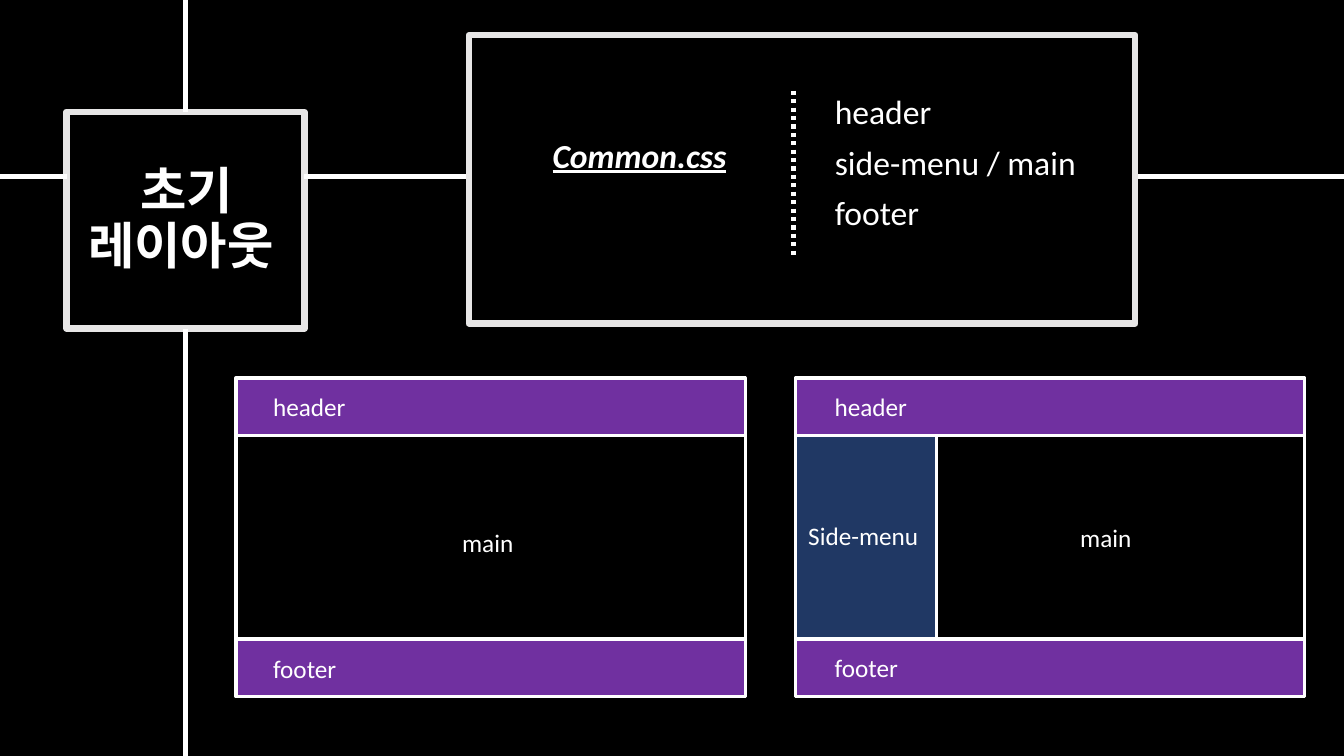
from dataclasses import dataclass

from pptx import Presentation
from pptx import util as u
from pptx.dml.color import RGBColor
from pptx.enum import dml, shapes, text
from pptx.oxml.ns import qn
from lxml import etree


@dataclass(frozen=True)
class Theme:
    font: str = "Calibri"
    black: str = "000000"
    white: str = "FFFFFF"
    frame: str = "E7E6E6"
    bar: str = "7030A0"
    side: str = "203864"
    title_size: int = 36
    body_size: int = 24
    label_size: int = 18
    frame_width: float = 4.5
    rule_width: float = 3
    block_width: float = 2.25


class LayoutSlide:
    def __init__(self, presentation, theme):
        self.theme = theme
        self.slide = presentation.slides.add_slide(presentation.slide_layouts[3])
        fill = self.slide.background.fill
        fill.solid()
        fill.fore_color.rgb = RGBColor.from_string(theme.black)

    def style(self, paragraph, size, align=text.PP_ALIGN.LEFT, emphasis=None):
        paragraph.alignment = align
        font = paragraph.font
        font.name = self.theme.font
        font.size = u.Pt(size)
        font.color.rgb = RGBColor.from_string(self.theme.white)
        font.bold = font.italic = font.underline = emphasis

    def place(self, shape, left, top, width, height):
        shape.left, shape.top = u.Inches(left), u.Inches(top)
        shape.width, shape.height = u.Inches(width), u.Inches(height)

    def title(self, words, *box):
        shape = self.slide.shapes.title
        self.place(shape, *box)
        frame = shape.text_frame
        frame.auto_size = text.MSO_AUTO_SIZE.NONE
        frame.vertical_anchor = text.MSO_ANCHOR.MIDDLE
        paragraph = frame.paragraphs[0]
        paragraph.text = words
        paragraph.line_spacing = 0.9
        self.style(paragraph, self.theme.title_size, text.PP_ALIGN.CENTER)
        paragraph.font.bold = True

    def body(self, index, lines, *box, emphasis=None):
        shape = self.slide.placeholders[index]
        self.place(shape, *box)
        frame = shape.text_frame
        frame.text = "\n".join(lines)
        frame.auto_size = text.MSO_AUTO_SIZE.NONE
        frame.vertical_anchor = text.MSO_ANCHOR.TOP
        for number, paragraph in enumerate(frame.paragraphs):
            properties = paragraph._p.get_or_add_pPr()
            properties.set("marL", "0")
            properties.set("indent", "0")
            etree.SubElement(properties, qn("a:buNone"))
            paragraph.line_spacing = 0.9
            paragraph.space_before = u.Pt(10 if number else 0)
            self.style(paragraph, self.theme.body_size, emphasis=emphasis)

    def rectangle(self, left, top, width, height, line, line_width, fill=None):
        shape = self.slide.shapes.add_shape(
            shapes.MSO_SHAPE.RECTANGLE, u.Inches(left), u.Inches(top),
            u.Inches(width), u.Inches(height))
        shape.shadow.inherit = False
        if fill:
            shape.fill.solid()
            shape.fill.fore_color.rgb = RGBColor.from_string(fill)
        else:
            shape.fill.background()
        shape.line.color.rgb = RGBColor.from_string(line)
        shape.line.width = u.Pt(line_width)

    def frame(self, *box):
        self.rectangle(*box, self.theme.frame, self.theme.frame_width)

    def block(self, *box, fill):
        self.rectangle(*box, self.theme.white, self.theme.block_width, fill)

    def rule(self, x1, y1, x2, y2, dash=None):
        line = self.slide.shapes.add_connector(
            shapes.MSO_CONNECTOR.STRAIGHT, u.Inches(x1), u.Inches(y1),
            u.Inches(x2), u.Inches(y2))
        line.line.color.rgb = RGBColor.from_string(self.theme.white)
        line.line.width = u.Pt(self.theme.rule_width)
        if dash:
            line.line.dash_style = dash
        etree.SubElement(line._element.spPr, qn("a:effectLst"))

    def label(self, words, left, top, width, align=text.PP_ALIGN.CENTER):
        shape = self.slide.shapes.add_textbox(
            u.Inches(left), u.Inches(top), u.Inches(width), u.Inches(0.4))
        frame = shape.text_frame
        frame.word_wrap = True
        frame.auto_size = text.MSO_AUTO_SIZE.SHAPE_TO_FIT_TEXT
        frame.text = words
        self.style(frame.paragraphs[0], self.theme.label_size, align)

    def wireframe(self, left, label_left, footer_top):
        width, bar_height = 5.05, 0.57
        self.block(left, 4.11, width, 2.8, fill=self.theme.black)
        for words, bar_top, label_top in (("header", 3.75, 3.83),
                                          ("footer", 6.34, footer_top)):
            self.block(left, bar_top, width, bar_height, fill=self.theme.bar)
            self.label(words, label_left, label_top, 3.02, text.PP_ALIGN.LEFT)


def main():
    presentation = Presentation()
    presentation.slide_width = u.Inches(13.33)
    presentation.slide_height = u.Inches(7.5)
    theme = Theme()
    page = LayoutSlide(presentation, theme)

    # Title frame and the lines that cross behind it
    page.frame(0.66, 1.11, 2.36, 2.15)
    page.title("초기\v레이아웃 ", 0.52, 1.62, 2.66, 1.14)
    for top, bottom in ((0, 1.11), (3.26, 7.5)):
        page.rule(1.84, top, 1.84, bottom)
    for left, right in ((0, 0.66), (3.02, 4.65), (11.26, 13.33)):
        page.rule(left, 1.75, right, 1.75)

    # Stylesheet panel
    page.frame(4.65, 0.35, 6.61, 2.86)
    page.body(1, ["Common.css"], 5.38, 1.33, 2.05, 0.49, emphasis=True)
    page.rule(7.87, 0.9, 7.87, 2.53, dash=dml.MSO_LINE.ROUND_DOT)
    page.body(2, ["header", "side-menu / main", "footer"],
              8.18, 0.9, 2.69, 1.63)

    # Page without a side menu
    page.wireframe(2.34, 2.61, 6.43)
    page.label("main ", 2.34, 5.18, 5.05)

    # Page with a side menu
    page.wireframe(7.89, 8.18, 6.42)
    page.block(7.89, 4.32, 1.4, 2.02, fill=theme.side)
    page.label("Side-menu ", 7.89, 5.11, 1.4)
    page.label("main ", 9.05, 5.13, 3.89)

    presentation.save("out.pptx")


if __name__ == "__main__":
    main()
